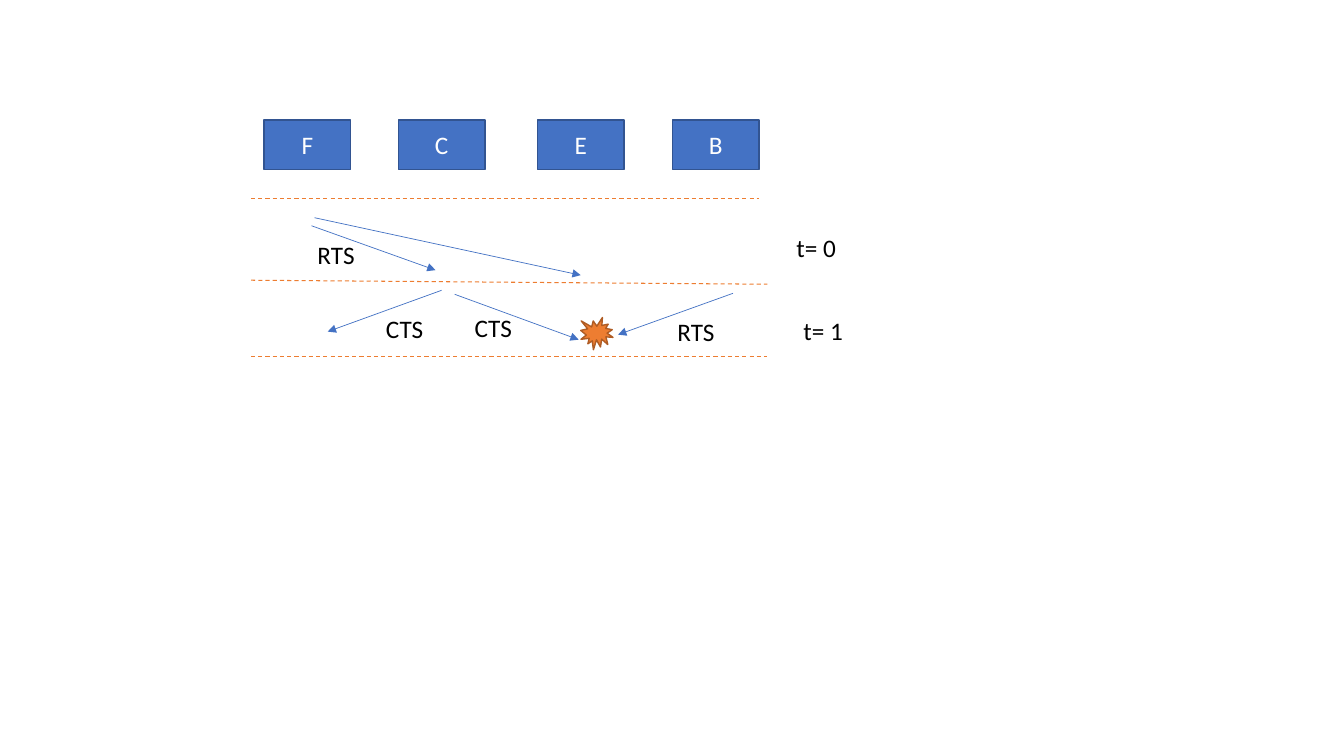
from dataclasses import dataclass

from lxml.etree import SubElement
from pptx import Presentation
from pptx.dml.color import RGBColor
from pptx.enum.dml import MSO_LINE_DASH_STYLE as Dash
from pptx.enum.shapes import MSO_CONNECTOR as Connector, MSO_SHAPE as Shape
from pptx.enum.text import MSO_ANCHOR as Anchor, MSO_AUTO_SIZE as AutoSize, PP_ALIGN as Align
from pptx.oxml.ns import qn
from pptx.util import Inches, Pt

BLUE = RGBColor(0x44, 0x72, 0xC4)
DARK_BLUE = RGBColor(0x32, 0x54, 0x91)
ORANGE = RGBColor(0xED, 0x7D, 0x31)
DARK_ORANGE = RGBColor(0xAF, 0x5C, 0x24)
WHITE = RGBColor(0xFF, 0xFF, 0xFF)
BLACK = RGBColor(0x00, 0x00, 0x00)
FONT = "Calibri"
CELL = 0.1


@dataclass
class Box:
    """A region whose corner is counted in grid columns and rows."""
    column: float
    row: float

    def point(self, column, row):
        """Return the slide position of a grid point inside the region."""
        return span(self.column + column), span(self.row + row)


def span(cells):
    """Turn a number of grid cells into a length."""
    return Inches(cells * CELL)


def add_text(frame, text, color):
    """Write one run into the first paragraph and return the paragraph."""
    para = frame.paragraphs[0]
    run = para.add_run()
    run.text = text
    run.font.name = FONT
    run.font.size = Pt(18)
    run.font.color.rgb = color
    return para


def add_solid(page, kind, corner, size, fill, outline):
    """Add a filled and outlined shape without shadow."""
    shape = page.shapes.add_shape(kind, *corner, *map(span, size))
    shape.shadow.inherit = False
    shape.fill.solid()
    shape.fill.fore_color.rgb = fill
    shape.line.color.rgb = outline
    shape.line.width = Pt(1)
    return shape


def add_line(page, start, end, color, width):
    """Add a straight line without shadow."""
    line = page.shapes.add_connector(Connector.STRAIGHT, *start, *end)
    line.line.color.rgb = color
    line.line.width = Pt(width)
    SubElement(line._element.spPr, qn("a:effectLst"))
    return line


def add_arrow(page, start, end):
    """Add a thin blue arrow for one message."""
    arrow = add_line(page, start, end, BLUE, 0.5)
    SubElement(arrow.line._get_or_add_ln(), qn("a:tailEnd"), type="triangle")


def add_label(page, corner, text):
    """Add a black label."""
    label = page.shapes.add_textbox(*corner, span(9.9), span(4))
    label.text_frame.word_wrap = True
    label.text_frame.auto_size = AutoSize.SHAPE_TO_FIT_TEXT
    add_text(label.text_frame, text, BLACK)


def place_stations(page, box, stations):
    """Place the row of station blocks."""
    for name, column in stations:
        block = add_solid(page, Shape.RECTANGLE, box.point(column, 0), (8.6, 4.9), BLUE, DARK_BLUE)
        block.text_frame.vertical_anchor = Anchor.MIDDLE
        add_text(block.text_frame, name, WHITE).alignment = Align.CENTER


def place_dividers(page, box, dividers):
    """Place the dashed lines between the time slots."""
    for start_row, end_column, end_row in dividers:
        divider = add_line(page, box.point(0, start_row), box.point(end_column, end_row), ORANGE, 0.75)
        divider.line.dash_style = Dash.DASH


def place_slot(page, box, messages, labels):
    """Place the message arrows and labels of one time slot."""
    for start, end in messages:
        add_arrow(page, box.point(*start), box.point(*end))
    for text, column, row in labels:
        add_label(page, box.point(column, row), text)


def place_collision(page, box):
    """Place the burst that marks the collision."""
    add_solid(page, Shape.EXPLOSION1, box.point(32.7, 3.7), (3.2, 3.2), ORANGE, DARK_ORANGE)


def main():
    """Build the message timing slide."""
    deck = Presentation()
    deck.slide_width, deck.slide_height = Inches(13.33), Inches(7.5)
    page = deck.slides.add_slide(deck.slide_layouts[6])
    first_slot, second_slot = Box(24.9, 19.7), Box(24.9, 27.8)

    place_stations(page, Box(26.2, 11.9), [("F", 0), ("C", 13.3), ("E", 27.1), ("B", 40.5)])
    place_dividers(page, first_slot, [(0, 50.4, 0), (8.1, 51.2, 8.5), (15.7, 51.2, 15.7)])
    place_slot(
        page, first_slot,
        [((6, 2.7), (18.3, 7.1)), ((6.3, 1.9), (32.7, 7.6))],
        [("RTS", 5.6, 3.6), ("t= 0", 53.1, 2.9)],
    )
    place_slot(
        page, second_slot,
        [((18.9, 1), (7.6, 5.1)), ((20.2, 1.4), (32.5, 5.9)), ((47.8, 1.3), (36.4, 5.4))],
        [("CTS", 12.4, 2.8), ("CTS", 21.2, 2.7), ("RTS", 41.3, 3.1), ("t= 1", 53.8, 3)],
    )
    place_collision(page, second_slot)
    deck.save("out.pptx")


if __name__ == "__main__":
    main()
